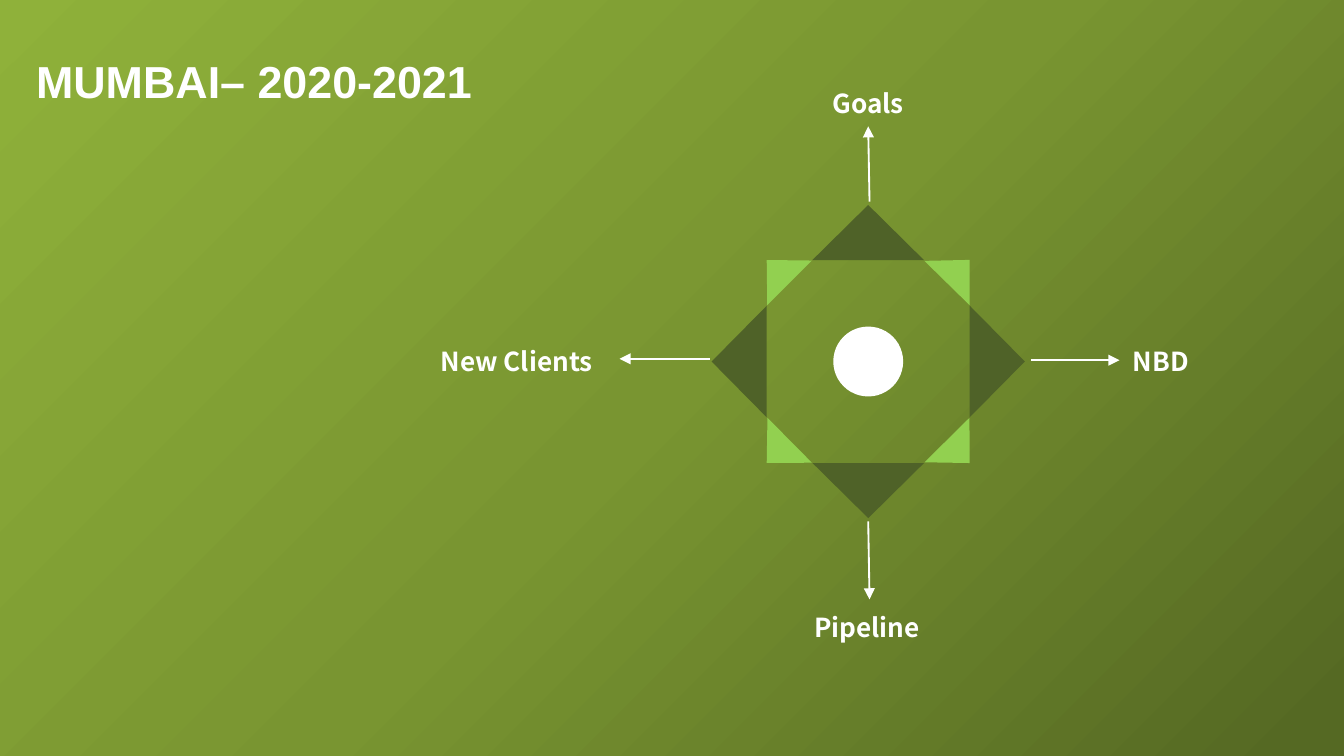
from lxml.etree import SubElement
from pptx import Presentation
from pptx.dml.color import RGBColor
from pptx.enum.shapes import MSO_CONNECTOR, MSO_SHAPE
from pptx.enum.text import MSO_AUTO_SIZE, PP_ALIGN
from pptx.oxml import parse_xml
from pptx.oxml.ns import nsdecls, qn
from pptx.util import Inches, Pt

WHITE = RGBColor(0xFF, 0xFF, 0xFF)
DARK_GREEN = RGBColor(0x4F, 0x62, 0x28)
LIGHT_GREEN = RGBColor(0x92, 0xD0, 0x50)
GRADIENT_STOPS = [
    (4, RGBColor(0x55, 0x69, 0x23)),
    (50, RGBColor(0x79, 0x95, 0x31)),
    (100, RGBColor(0x8F, 0xB1, 0x3A)),
]
CENTER_X, CENTER_Y = 6.46, 2.69

deck = Presentation()
deck.slide_width = Inches(10)
deck.slide_height = Inches(10) * 9 // 16
page = deck.slides.add_slide(deck.slide_layouts[6])


def add_filled(kind, left, top, width, height, color):
    shape = page.shapes.add_shape(
        kind, Inches(left), Inches(top), Inches(width), Inches(height)
    )
    shape.shadow.inherit = False
    shape.fill.solid()
    shape.fill.fore_color.rgb = color
    shape.line.fill.background()
    return shape


def add_label(text, left, top, width, height, size, font, alignment):
    box = page.shapes.add_textbox(
        Inches(left), Inches(top), Inches(width), Inches(height)
    )
    frame = box.text_frame
    frame.word_wrap = True
    frame.auto_size = MSO_AUTO_SIZE.SHAPE_TO_FIT_TEXT
    para = frame.paragraphs[0]
    para.text = text
    para.alignment = alignment
    para.font.size = Pt(size)
    para.font.name = font
    para.font.bold = True
    para.font.color.rgb = WHITE
    for tag in ("a:ea", "a:cs"):
        SubElement(para.font._element, qn(tag)).set("typeface", font)


backdrop = add_filled(MSO_SHAPE.RECTANGLE, 0, 0, 10.22, 5.63, DARK_GREEN)
stops = "".join(
    f'<a:gs pos="{position * 1000}"><a:srgbClr val="{color}"/></a:gs>'
    for position, color in GRADIENT_STOPS
)
gradient = parse_xml(
    f'<a:gradFill {nsdecls("a")} rotWithShape="1"><a:gsLst>{stops}</a:gsLst>'
    '<a:path path="circle"><a:fillToRect l="100000" t="100000"/></a:path></a:gradFill>'
)
properties = backdrop._element.spPr
properties.replace(properties.find(qn("a:solidFill")), gradient)

for text, left, top, width, alignment in [
    ("New Clients", 3.13, 2.52, 1.38, PP_ALIGN.RIGHT),
    ("NBD", 8.33, 2.52, 1.38, PP_ALIGN.LEFT),
    ("Goals", 5.77, 0.6, 1.38, PP_ALIGN.CENTER),
    ("Pipeline", 5.96, 4.5, 1.53, PP_ALIGN.LEFT),
]:
    add_label(text, left, top, width, 0.34, 14, "Noto Sans CJK JP", alignment)

for color, width, height, offset, directions in [
    (DARK_GREEN, 0.83, 0.41, 0.96, [(-1, 0, 270), (1, 0, 90), (0, -1, 0), (0, 1, 180)]),
    (LIGHT_GREEN, 0.47, 0.24, 0.67,
     [(-1, -1, 315), (1, -1, 44.4), (1, 1, 135.3), (-1, 1, 225.3)]),
]:
    for across, down, rotation in directions:
        left = CENTER_X + across * offset - width / 2
        top = CENTER_Y + down * offset - height / 2
        triangle = add_filled(
            MSO_SHAPE.ISOSCELES_TRIANGLE, left, top, width, height, color
        )
        triangle.rotation = rotation

for start_x, start_y, end_x, end_y in [
    (6.47, 1.5, 6.46, 0.94),
    (5.28, 2.67, 4.61, 2.67),
    (7.67, 2.68, 8.33, 2.68),
    (6.46, 3.88, 6.47, 4.46),
]:
    arrow = page.shapes.add_connector(
        MSO_CONNECTOR.STRAIGHT,
        Inches(start_x), Inches(start_y), Inches(end_x), Inches(end_y),
    )
    arrow.line.color.rgb = WHITE
    arrow.line.width = Pt(1)
    SubElement(arrow.line._get_or_add_ln(), qn("a:tailEnd")).set("type", "triangle")
    SubElement(arrow._element.spPr, qn("a:effectLst"))

add_filled(MSO_SHAPE.OVAL, CENTER_X - 0.26, CENTER_Y - 0.26, 0.52, 0.52, WHITE)
add_label("MUMBAI– 2020-2021", 0.17, 0.35, 3.84, 0.5, 24, "Arial", PP_ALIGN.LEFT)

deck.save("out.pptx")
